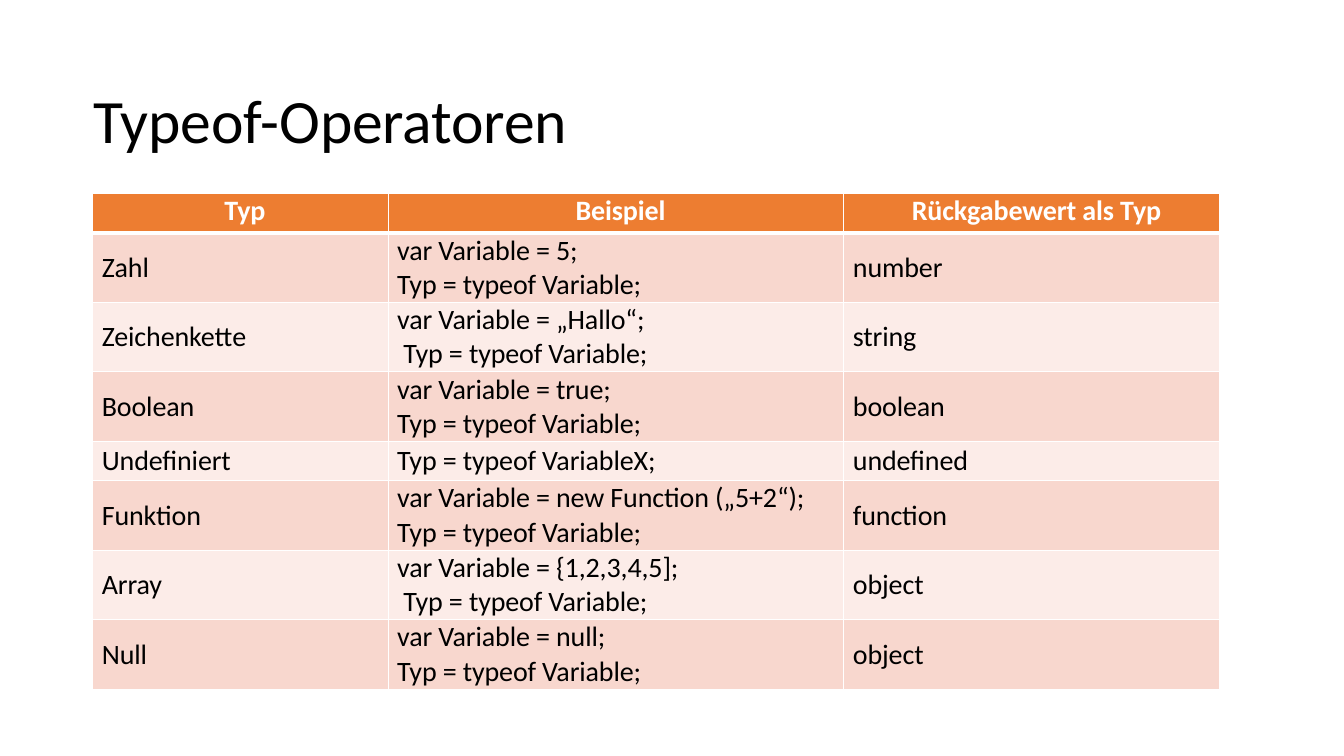
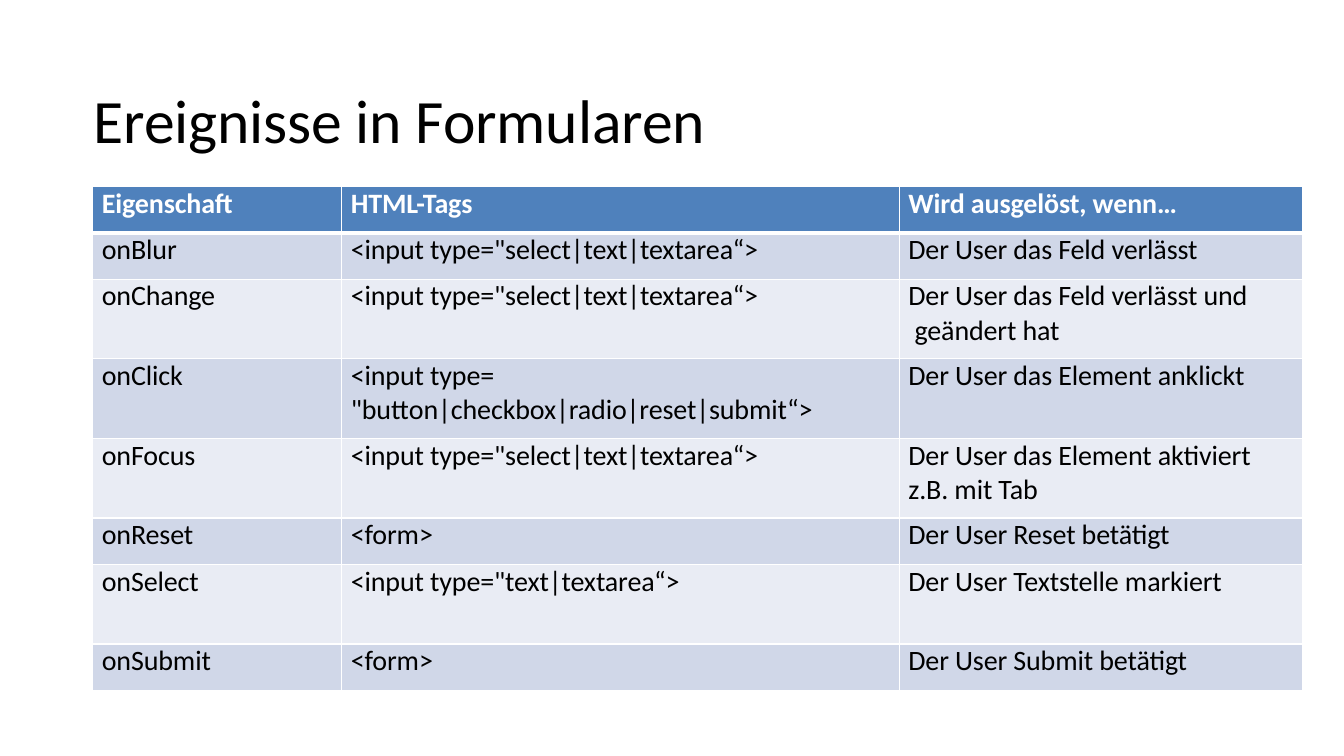
from lxml import etree
from pptx import Presentation
from pptx.dml.color import RGBColor
from pptx.enum.text import MSO_ANCHOR, PP_ALIGN
from pptx.oxml.ns import qn
from pptx.util import Inches, Pt

MIDDLE, TOP = MSO_ANCHOR.MIDDLE, MSO_ANCHOR.TOP
LEFT, CENTER = PP_ALIGN.LEFT, PP_ALIGN.CENTER

# Shared style
FONT = "Calibri"
BLACK = RGBColor(0x00, 0x00, 0x00)
WHITE = RGBColor(0xFF, 0xFF, 0xFF)
ORANGE = RGBColor(0xED, 0x7D, 0x31)
ORANGE_BANDS = (RGBColor(0xF8, 0xD7, 0xCE), RGBColor(0xFC, 0xEC, 0xE8))
BLUE = RGBColor(0x4F, 0x81, 0xBC)
BLUE_BANDS = (RGBColor(0xD0, 0xD7, 0xE8), RGBColor(0xE9, 0xEC, 0xF4))
MARGIN = 0.92
INDENT = 0.09
THIN, THICK = Pt(1), Pt(3)

# Table contents: a line break starts a new paragraph
TYPE_ROWS = [
    ("Typ", "Beispiel", "Rückgabewert als Typ"),
    ("Zahl", "var Variable = 5;\nTyp = typeof Variable;", "number"),
    ("Zeichenkette", "var Variable = „Hallo“;\n Typ = typeof Variable;", "string"),
    ("Boolean", "var Variable = true;\nTyp = typeof Variable;", "boolean"),
    ("Undefiniert", "Typ = typeof VariableX;", "undefined"),
    ("Funktion", "var Variable = new Function („5+2“);\nTyp = typeof Variable;", "function"),
    ("Array", "var Variable = {1,2,3,4,5];\n Typ = typeof Variable;", "object"),
    ("Null", "var Variable = null;\nTyp = typeof Variable;", "object"),
]
FIELD_TAG = '<input type="select|text|textarea“>'
EVENT_ROWS = [
    ("Eigenschaft", "HTML-Tags", "Wird ausgelöst, wenn…"),
    ("onBlur", FIELD_TAG, "Der User das Feld verlässt"),
    ("onChange", FIELD_TAG, "Der User das Feld verlässt und\n geändert hat"),
    ("onClick", '<input type=\n"button|checkbox|radio|reset|submit“>', "Der User das Element anklickt"),
    ("onFocus", FIELD_TAG, "Der User das Element aktiviert\nz.B. mit Tab"),
    ("onReset", "<form>", "Der User Reset betätigt"),
    ("onSelect", '<input type="text|textarea“>', "Der User Textstelle markiert"),
    ("onSubmit", "<form>", "Der User Submit betätigt"),
]

SLIDES = [
    {"title": "Typeof-Operatoren", "rows": TYPE_ROWS, "top": 1.92,
     "widths": (2.93, 4.52, 3.73),
     "heights": (0.39, 0.69, 0.69, 0.69, 0.39, 0.69, 0.69, 0.69),
     "header": ORANGE, "bands": ORANGE_BANDS, "header_align": CENTER, "anchor": MIDDLE},
    {"title": "Ereignisse in Formularen", "rows": EVENT_ROWS, "top": 1.85,
     "widths": (2.47, 5.53, 4),
     "heights": (0.46, 0.46, 0.79, 0.79, 0.79, 0.46, 0.79, 0.46),
     "header": BLUE, "bands": BLUE_BANDS, "header_align": LEFT, "anchor": TOP},
]


def write_text(frame, text, size, color, bold=False, align=LEFT, before=0):
    for index, line in enumerate(text.split("\n")):
        para = frame.paragraphs[0] if index == 0 else frame.add_paragraph()
        para.alignment = align
        para.space_before = Pt(before if index == 0 else 0)
        para.font.name, para.font.size = FONT, Pt(size)
        para.font.color.rgb, para.font.bold = color, bold
        span = para.add_run()
        span.text = line
        span.font._element.set("spc", "-10")  # slightly tightened letters


def add_borders(cell, top, bottom):
    properties = cell._tc.get_or_add_tcPr()
    for side, width in (("L", THIN), ("R", THIN), ("T", top), ("B", bottom)):
        line = etree.SubElement(properties, qn(f"a:ln{side}"), w=str(width))
        fill = etree.SubElement(line, qn("a:solidFill"))
        etree.SubElement(fill, qn("a:srgbClr"), val=str(WHITE))


deck = Presentation()
deck.slide_width, deck.slide_height = Inches(13.33), Inches(7.5)
blank = deck.slide_layouts[6]

for content in SLIDES:
    page = deck.slides.add_slide(blank)

    # Title
    box = page.shapes.add_textbox(Inches(MARGIN), Inches(0.5), Inches(11.5), Inches(1.35))
    frame = box.text_frame
    frame.word_wrap = True
    frame.vertical_anchor = MIDDLE
    frame.margin_left = Inches(0.01)
    frame.margin_right = frame.margin_top = frame.margin_bottom = 0
    write_text(frame, content["title"], 44, BLACK)

    # Table grid
    rows, widths, heights = content["rows"], content["widths"], content["heights"]
    table = page.shapes.add_table(
        len(rows), len(widths), Inches(MARGIN), Inches(content["top"]),
        Inches(sum(widths)), Inches(sum(heights))).table
    table.first_row = table.horz_banding = False
    for column, width in zip(table.columns, widths):
        column.width = Inches(width)
    for row, height in zip(table.rows, heights):
        row.height = Inches(height)

    # Table cells: header row, then alternating bands
    for r, texts in enumerate(rows):
        is_header = r == 0
        for c, text in enumerate(texts):
            cell = table.cell(r, c)
            cell.margin_left = Inches(INDENT)
            cell.margin_right = cell.margin_top = cell.margin_bottom = 0
            cell.vertical_anchor = TOP if is_header else content["anchor"]
            add_borders(cell, THICK if r == 1 else THIN, THICK if is_header else THIN)
            cell.fill.solid()
            cell.fill.fore_color.rgb = content["header"] if is_header else content["bands"][(r - 1) % 2]
            write_text(cell.text_frame, text, 20, WHITE if is_header else BLACK, is_header,
                       content["header_align"] if is_header else LEFT, 0.8 if r == 1 else 1.9)

deck.save("out.pptx")
